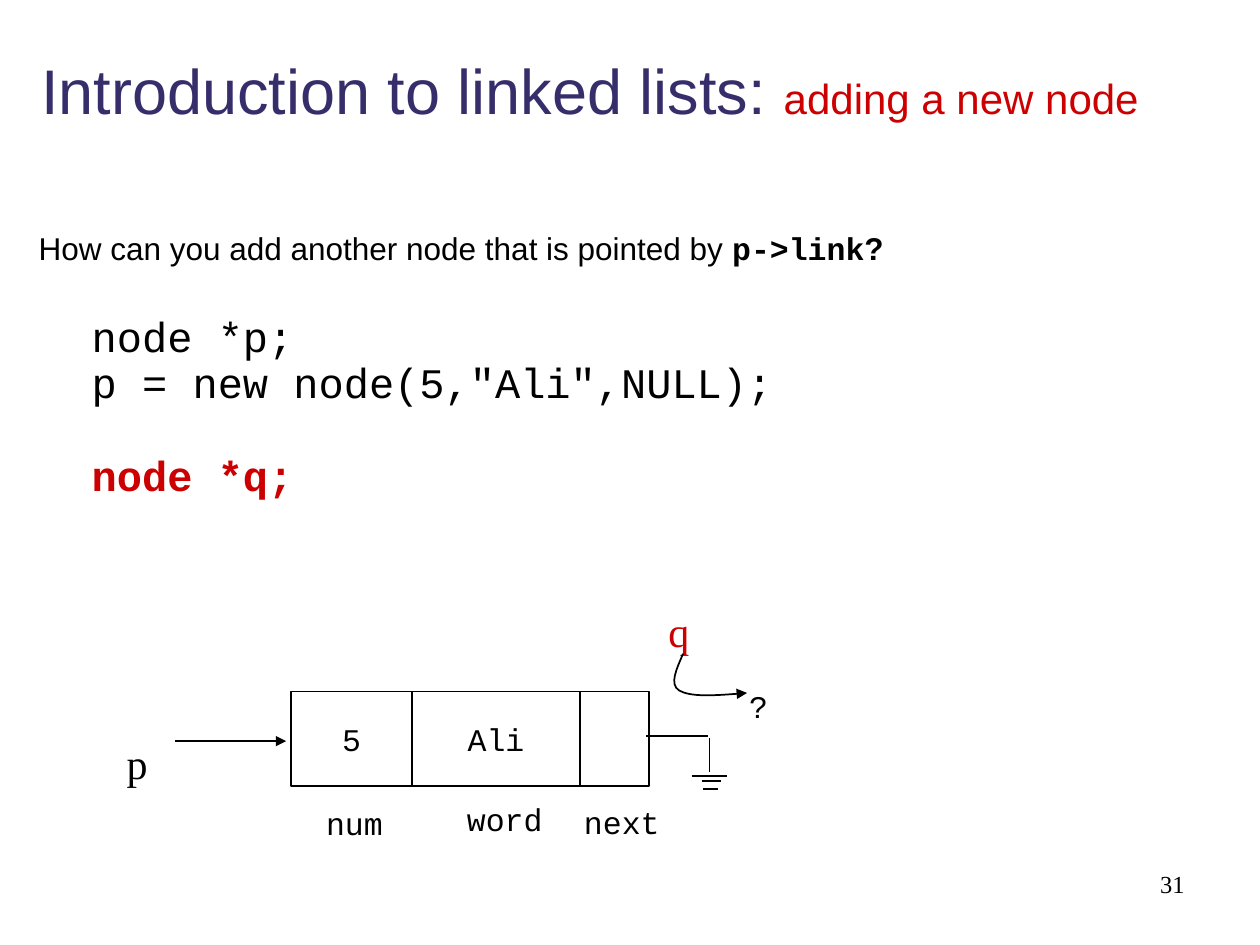
from lxml import etree
from pptx import Presentation
from pptx.dml.color import RGBColor
from pptx.enum import shapes, text
from pptx.oxml.ns import qn
from pptx.util import Cm, Pt

BLACK = RGBColor(0, 0, 0)
WHITE = RGBColor(255, 255, 255)
INDIGO = RGBColor(0x36, 0x2D, 0x6B)
RED = RGBColor(0xCC, 0, 0)
SANS, MONO, SERIF = "Arial", "Courier New", "Times New Roman"


def format_run(r, font, size, color=BLACK, bold=False):
    r.font.name, r.font.size, r.font.bold = font, Pt(size), bold
    r.font.color.rgb = color


def add_run(p, words, *style):
    r = p.add_run()
    r.text = words
    format_run(r, *style)


def style_line(sp, arrow=False):
    sp.line.color.rgb = BLACK
    sp.line.width = Pt(1)
    if arrow:
        etree.SubElement(sp.line._get_or_add_ln(), qn("a:tailEnd"), type="triangle")


def add_title(s):
    sp = s.shapes.title
    sp.left, sp.top, sp.width, sp.height = Cm(0.58), Cm(0.43), Cm(24.82), Cm(2.74)
    tf = sp.text_frame
    tf.vertical_anchor = text.MSO_ANCHOR.MIDDLE
    p = tf.paragraphs[0]
    p.alignment = text.PP_ALIGN.LEFT
    add_run(p, "Introduction to linked lists: ", SANS, 36, INDIGO)
    add_run(p, "adding a new node", SANS, 24, RED)


def add_body(s):
    tf = s.shapes.add_textbox(Cm(0.53), Cm(3.73), Cm(23.34), Cm(9.22)).text_frame
    tf.word_wrap = True
    tf.margin_top = Cm(0.81)
    p = tf.paragraphs[0]
    p.line_spacing = Pt(24)
    add_run(p, "How can you add another node that is pointed by ", SANS, 18)
    add_run(p, "p->link", MONO, 18, BLACK, True)
    add_run(p, "?", SANS, 18, BLACK, True)
    # Code lines, indented below the question
    for code, before, color, bold in (
        ("node *p;", 29.8, BLACK, False),
        ('p = new node(5,"Ali",NULL);', 2.3, BLACK, False),
        ("node *q;", 28.6, RED, True),
    ):
        p = tf.add_paragraph()
        p._p.get_or_add_pPr().set("marL", str(Cm(1.07)))
        p.line_spacing, p.space_before = Pt(24), Pt(before)
        add_run(p, code, MONO, 24, color, bold)


def add_label(s, words, x, y, w, h, font, size, color=BLACK,
              align=text.PP_ALIGN.CENTER, margin=0):
    tf = s.shapes.add_textbox(Cm(x), Cm(y), Cm(w), Cm(h)).text_frame
    tf.word_wrap = True
    tf.margin_left = tf.margin_right = Cm(margin)
    tf.margin_top = Cm(0.25)
    p = tf.paragraphs[0]
    p.alignment = align
    add_run(p, words, font, size, color)


def add_cell(s, words, x, w):
    sp = s.shapes.add_shape(shapes.MSO_SHAPE.RECTANGLE, Cm(x), Cm(13.94), Cm(w), Cm(1.91))
    sp.shadow.inherit = False
    sp.fill.solid()
    sp.fill.fore_color.rgb = WHITE
    style_line(sp)
    tf = sp.text_frame
    tf.vertical_anchor = text.MSO_ANCHOR.MIDDLE
    if words:
        p = tf.paragraphs[0]
        p.alignment = text.PP_ALIGN.CENTER
        add_run(p, words, MONO, 18)


def add_line(s, x1, y1, x2, y2, arrow=False):
    sp = s.shapes.add_connector(shapes.MSO_CONNECTOR.STRAIGHT, Cm(x1), Cm(y1), Cm(x2), Cm(y2))
    style_line(sp, arrow)
    etree.SubElement(sp._element.spPr, qn("a:effectLst"))


def add_curve(s, start, points):
    """Bezier arrow: every three points are two handles and an end."""
    fb = s.shapes.build_freeform(Cm(start[0]), Cm(start[1]))
    fb.add_line_segments([(Cm(x), Cm(y)) for x, y in points], close=False)
    sp = fb.convert_to_shape()
    sp.shadow.inherit = False
    sp.fill.background()
    style_line(sp, arrow=True)
    path = sp._element.find(".//" + qn("a:path"))
    segments = path.findall(qn("a:lnTo"))
    for i in range(0, len(segments), 3):
        curve = etree.SubElement(path, qn("a:cubicBezTo"))
        for segment in segments[i:i + 3]:
            curve.append(segment[0])
            path.remove(segment)


def main():
    prs = Presentation()
    prs.slide_width, prs.slide_height = Cm(25.4), Cm(19.05)
    s = prs.slides.add_slide(prs.slide_layouts[5])
    add_title(s)
    add_body(s)

    # Node cells, side by side
    x = 5.87
    for words, w in (("5", 2.44), ("Ali", 3.38), ("", 1.4)):
        add_cell(s, words, x, w)
        x += w

    # Field names and the unknown target
    for words, x, y, w in (("num", 6.22, 15.95, 1.85), ("word", 8.64, 15.88, 3.07),
                           ("next", 11.38, 15.93, 2.31), ("?", 14.86, 13.61, 0.86)):
        add_label(s, words, x, y, w, 1.02, MONO, 18)

    # Pointers p and q
    add_label(s, "p", 2.31, 14.61, 0.91, 1.27, SERIF, 24)
    add_label(s, "q", 13.23, 11.96, 0.91, 1.27, SERIF, 24, RED)
    add_line(s, 3.53, 14.94, 5.77, 14.94, arrow=True)
    add_curve(s, (13.77, 13.18), [(13.64, 13.49), (13.49, 13.79), (13.69, 13.92),
                                  (13.92, 14.05), (14.48, 14.02), (15.06, 13.97)])

    # Null link drawn as a ground symbol
    for ends in ((13.03, 14.83, 14.27, 14.83), (14.3, 14.88, 14.3, 15.57),
                 (13.94, 15.65, 14.66, 15.65), (14.15, 15.75, 14.53, 15.75),
                 (14.17, 15.9, 14.48, 15.9)):
        add_line(s, *ends)

    # Page number
    add_label(s, "31", 18.85, 17.27, 5.28, 1.27, SERIF, 14,
              align=text.PP_ALIGN.RIGHT, margin=0.25)
    prs.save("out.pptx")


if __name__ == "__main__":
    main()
